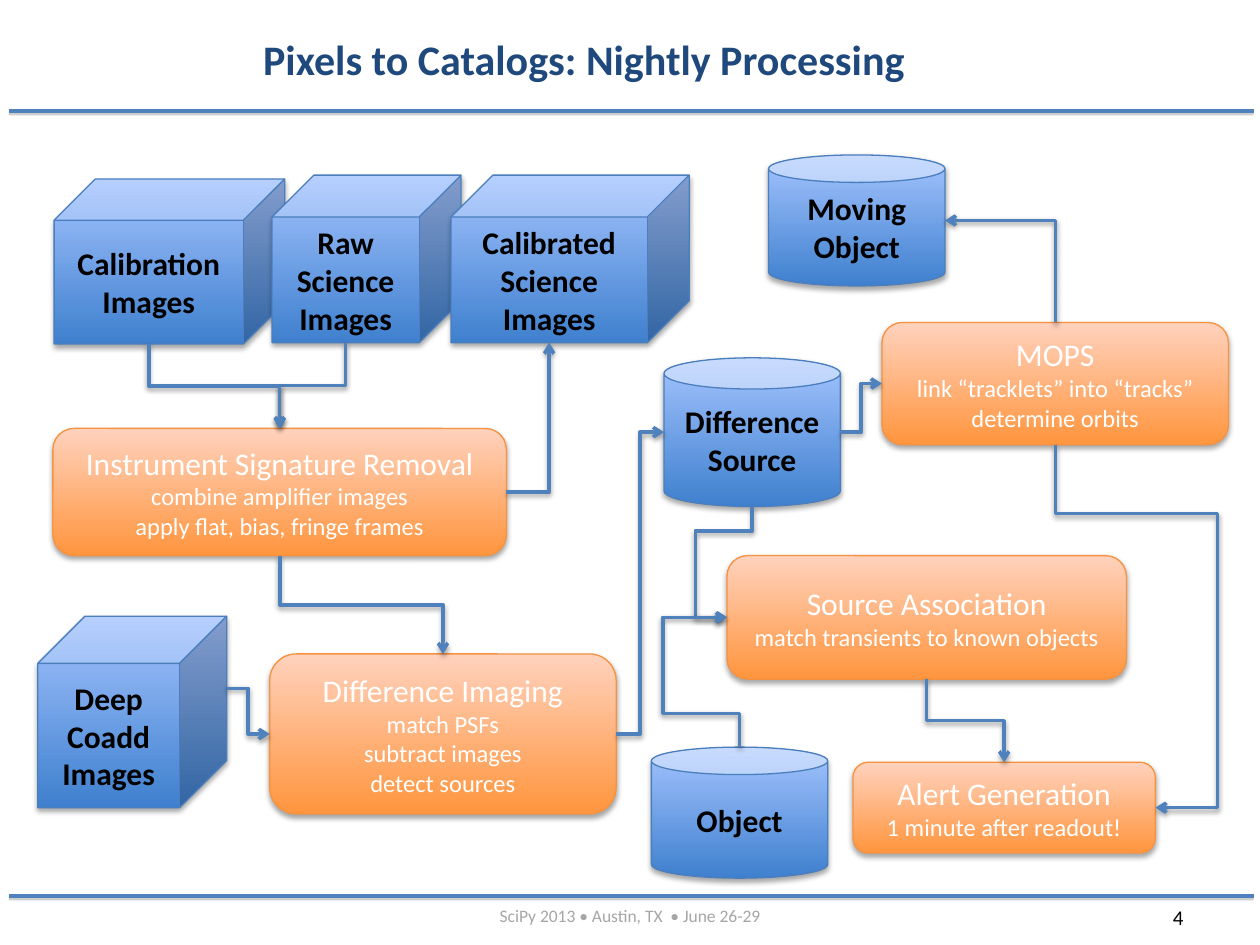
from lxml.etree import SubElement
from pptx import Presentation
from pptx.dml.color import RGBColor
from pptx.enum.shapes import MSO_CONNECTOR, MSO_SHAPE
from pptx.enum.text import MSO_ANCHOR, PP_ALIGN
from pptx.oxml.ns import qn
from pptx.util import Inches, Pt

FONT = "Calibri"
CONNECTOR_BLUE = "4F81BD"
RULES = [0.88, 7.11]

STYLES = {
    "cube": dict(preset=MSO_SHAPE.CUBE, stops=("3F80CE", "A4C4FF"), outline="4B7EBC",
                 color="000000", sites=dict(bottom=3, right=5)),
    "can": dict(preset=MSO_SHAPE.CAN, stops=("3F80CE", "A4C4FF"), outline="4B7EBC",
                color="000000", sites=dict(top=1, left=2, bottom=3, right=4)),
    "step": dict(preset=MSO_SHAPE.ROUNDED_RECTANGLE, stops=("FF953E", "FFD2BD"), outline="F69240",
                 color="FFFFFF", sites=dict(top=0, left=1, bottom=2, right=3)),
}

NODES = {
    "deep": ("cube", (0.3, 4.89, 1.5, 1.52), ["Deep", "Coadd Images"]),
    "imaging": ("step", (2.14, 5.19, 2.75, 1.27),
                ["Difference Imaging", "match PSFs", "subtract images", "detect sources"]),
    "alert": ("step", (6.77, 6.05, 2.4, 0.72), ["Alert Generation", "1 minute after readout!"]),
    "mops": ("step", (7, 2.56, 2.75, 0.97),
             ["MOPS", "link “tracklets” into “tracks”", "determine orbits"]),
    "source": ("can", (5.27, 2.84, 1.4, 1.18), ["Difference", "Source"]),
    "moving": ("can", (6.1, 1.23, 1.4, 1.04), ["Moving Object"]),
    "removal": ("step", (0.42, 3.4, 3.6, 1.01),
                ["Instrument Signature Removal", "combine amplifier images",
                 "apply flat, bias, fringe frames"]),
    "association": ("step", (5.77, 4.41, 3.17, 0.98),
                    ["Source Association", "match transients to known objects"]),
    "calibration": ("cube", (0.43, 1.42, 1.83, 1.31), ["Calibration Images"]),
    "raw": ("cube", (2.16, 1.39, 1.5, 1.33), ["Raw Science Images"]),
    "calibrated": ("cube", (3.58, 1.39, 1.89, 1.33), ["Calibrated Science Images"]),
    "object": ("can", (5.17, 5.93, 1.4, 1.04), ["Object"]),
}

FLOWS = [
    ("imaging", "right", "source", "left", [0.5]),
    ("source", "right", "mops", "left", [0.5]),
    ("mops", "top", "moving", "right", []),
    ("source", "bottom", "association", "left", [0.22, 2.26]),
    ("raw", "bottom", "removal", "top", [0.5]),
    ("calibration", "bottom", "removal", "top", [0.5]),
    ("removal", "bottom", "imaging", "top", [0.5]),
    ("deep", "right", "imaging", "left", [0.5]),
    ("association", "bottom", "alert", "top", [0.5]),
    ("mops", "bottom", "alert", "right", [0.19, 1.62]),
    ("removal", "right", "calibrated", "bottom", []),
    ("object", "top", "association", "left", [0.26, 6.1]),
]


def rgb(value):
    return RGBColor.from_string(value)


def write(frame, lines, sizes, color, bold=False, align=PP_ALIGN.CENTER, anchor=MSO_ANCHOR.MIDDLE):
    frame.word_wrap = True
    frame.vertical_anchor = anchor
    for index, line in enumerate(lines):
        para = frame.paragraphs[0] if index == 0 else frame.add_paragraph()
        para.alignment = align
        span = para.add_run()
        span.text = line
        span.font.name = FONT
        span.font.size = Pt(sizes[min(index, len(sizes) - 1)])
        span.font.bold = bold
        span.font.color.rgb = rgb(color)


def add_shadow(item, color, alpha, blur, distance):
    effects = SubElement(item._element.spPr, qn("a:effectLst"))
    shadow = SubElement(effects, qn("a:outerShdw"), blurRad=str(Pt(blur)), dist=str(Pt(distance)),
                        dir="5400000", rotWithShape="0")
    tint = SubElement(shadow, qn("a:srgbClr"), val=color)
    SubElement(tint, qn("a:alpha"), val=str(alpha * 1000))


def add_line(page, kind, start, end):
    line = page.shapes.add_connector(kind, *(Inches(v) for v in (*start, *end)))
    line.line.color.rgb = rgb(CONNECTOR_BLUE)
    line.line.width = Pt(2)
    return line


def add_node(page, kind, bounds, lines):
    style = STYLES[kind]
    box = page.shapes.add_shape(style["preset"], *map(Inches, bounds))
    if kind == "can":
        box.adjustments[0] = 0.21
    box.fill.gradient()
    box.fill.gradient_angle = 90
    for stop, color in zip(box.fill.gradient_stops, style["stops"]):
        stop.color.rgb = rgb(color)
    box.line.color.rgb = rgb(style["outline"])
    box.line.width = Pt(0.75)
    add_shadow(box, "000000", 35, 3.1, 1.8)
    sizes = [18, 14] if kind == "step" else [18]
    write(box.text_frame, lines, sizes, style["color"], bold=kind != "step")
    return box


def side_point(name, side):
    kind, (left, top, width, height), _ = NODES[name]
    depth = min(width, height) / 4 if kind == "cube" else 0
    return {
        "top": (left + width / 2, top),
        "left": (left, top + height / 2),
        "bottom": (left + (width - depth) / 2, top + height),
        "right": (left + width, top + (height - depth) / 2),
    }[side]


def add_flow(page, boxes, source, source_side, target, target_side, bends):
    start, end = side_point(source, source_side), side_point(target, target_side)
    flow = add_line(page, MSO_CONNECTOR.ELBOW, start, end)
    properties = flow._element.spPr
    across, down = end[0] - start[0], end[1] - start[1]
    turn, along, aside = 0, across, down
    if source_side in ("top", "bottom"):
        turn, along, aside = (90, down, -across) if down > 0 > across else (270, -down, across)
    flow.left = Inches((start[0] + end[0] - abs(along)) / 2)
    flow.top = Inches((start[1] + end[1] - abs(aside)) / 2)
    flow.width, flow.height = Inches(abs(along)), Inches(abs(aside))
    frame = properties.find(qn("a:xfrm"))
    frame.set("rot", str(turn * 60000))
    frame.set("flipH", str(int(along < 0)))
    frame.set("flipV", str(int(aside < 0)))

    geometry = properties.find(qn("a:prstGeom"))
    geometry.set("prst", f"bentConnector{len(bends) + 2}")
    guides = geometry.find(qn("a:avLst"))
    for number, bend in enumerate(bends, 1):
        SubElement(guides, qn("a:gd"), name=f"adj{number}", fmla=f"val {round(bend * 100000)}")

    joints = flow._element.nvCxnSpPr.cNvCxnSpPr
    for tag, name, side in (("a:stCxn", source, source_side), ("a:endCxn", target, target_side)):
        site = STYLES[NODES[name][0]]["sites"][side]
        SubElement(joints, qn(tag), id=str(boxes[name].shape_id), idx=str(site))
    SubElement(properties.find(qn("a:ln")), qn("a:tailEnd"), type="arrow")
    add_shadow(flow, "000000", 38, 3.1, 1.6)


def add_label(page, bounds, text, size, color, align):
    label = page.shapes.add_textbox(*map(Inches, bounds))
    write(label.text_frame, [text], [size], color, align=align, anchor=MSO_ANCHOR.TOP)


def main():
    deck = Presentation()
    deck.slide_width, deck.slide_height = Inches(10), Inches(7.5)
    page = deck.slides.add_slide(deck.slide_layouts[5])
    title = page.shapes.title
    title.left, title.top, title.width, title.height = map(Inches, (1.25, 0.16, 6.77, 0.61))
    write(title.text_frame, ["Pixels to Catalogs: Nightly Processing"], [24], "1F497D", bold=True)
    for height in RULES:
        rule = add_line(page, MSO_CONNECTOR.STRAIGHT, (0.07, height), (9.95, height))
        add_shadow(rule, "808080", 38, 0, 1.6)
    add_label(page, (9.21, 7.13, 0.62, 0.3), "4", 12, "000000", PP_ALIGN.LEFT)
    add_label(page, (0.5, 7.13, 9, 0.27), "SciPy 2013 • Austin, TX  • June 26-29", 10, "A6A6A6",
              PP_ALIGN.CENTER)
    boxes = {name: add_node(page, *node) for name, node in NODES.items()}
    for flow in FLOWS:
        add_flow(page, boxes, *flow)
    deck.save("out.pptx")


if __name__ == "__main__":
    main()
